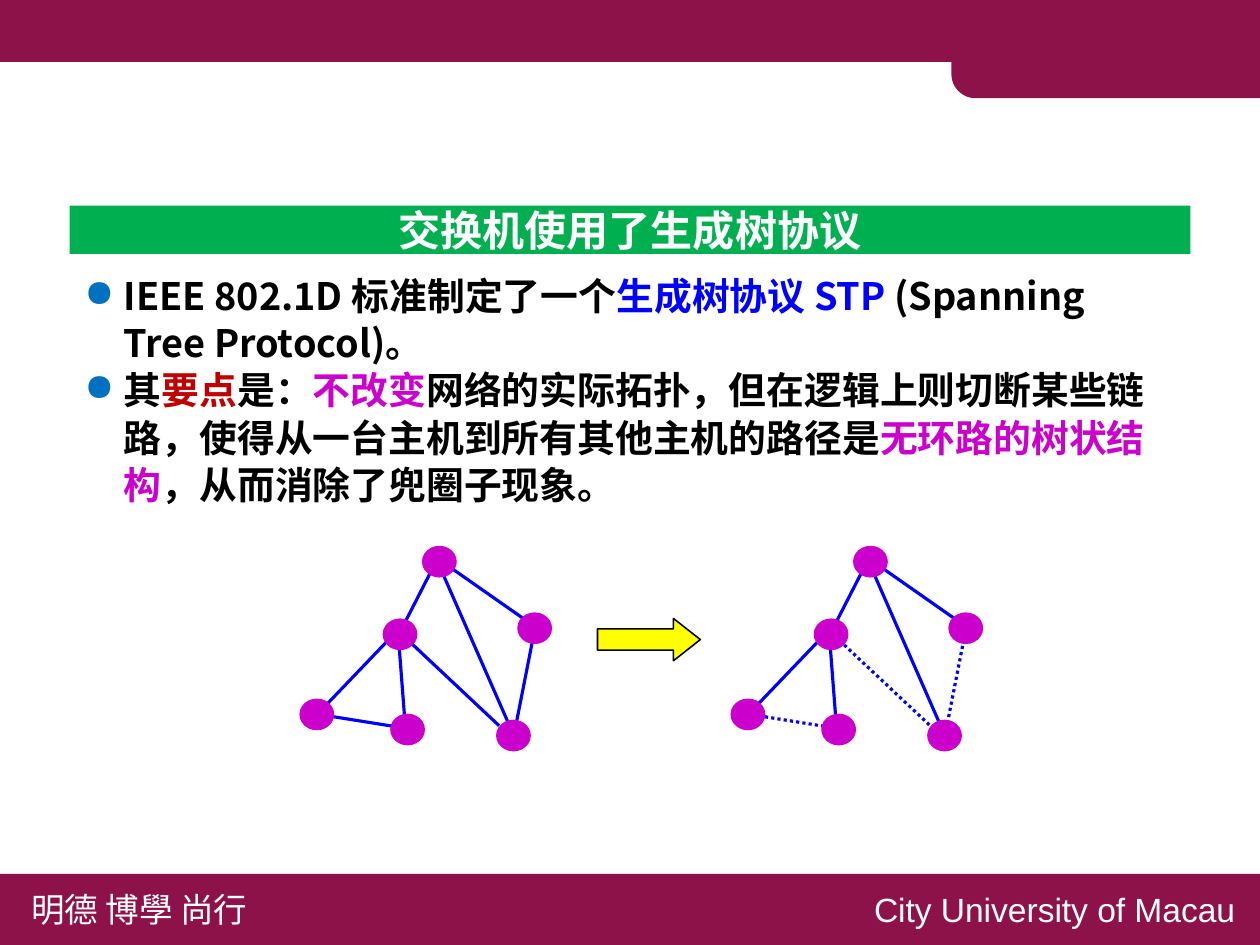
import math

import pptx
import pptx.util
import pptx.dml.color
import pptx.enum.dml
import pptx.enum.shapes
import pptx.enum.text
import pptx.oxml.ns
from lxml import etree

Inches = pptx.util.Inches
Pt = pptx.util.Pt
qn = pptx.oxml.ns.qn
SHAPE = pptx.enum.shapes.MSO_SHAPE

COLORS = {
    "maroon": "8D124A", "white": "FFFFFF", "black": "000000", "green": "00B050",
    "blue": "0000FF", "red": "C00000", "magenta": "CC00CC", "yellow": "FFFF00",
    "bullet": "0070C0",
}
CJK = "Noto Sans CJK SC"

POINTS = [
    [("IEEE 802.1D 标准制定了一个", "black"), ("生成树协议 STP ", "blue"),
     ("(Spanning Tree Protocol)。", "black")],
    [("其", "black"), ("要点", "red"), ("是：", "black"), ("不改变", "magenta"),
     ("网络的实际拓扑，但在逻辑上则切断某些链路，使得从一台主机到所有其他主机的路径是", "black"),
     ("无环路的树状结构", "magenta"), ("，从而消除了兜圈子现象。", "black")],
]

SWITCH_SIZE = (0.23, 0.21)
SWITCHES = [(0.81, 0), (1.44, 0.44), (1.3, 1.15), (0, 1.01), (0.6, 1.11), (0.55, 0.48)]
TREE_LINKS = [
    (0.9, 0.11, 0.66, 0.58), (0.95, 0.11, 1.55, 0.53), (0.95, 0.19, 1.38, 1.17),
    (0.16, 1.07, 0.6, 0.61), (0.7, 1.2, 0.65, 0.55),
]
LOOP_LINKS = [
    (0.66, 0.57, 1.32, 1.19), (1.55, 0.58, 1.42, 1.24), (0.66, 1.2, 0.16, 1.12),
]


def rgb(name):
    """Return the named colour."""
    return pptx.dml.color.RGBColor.from_string(COLORS[name])


def paint(shape, color):
    """Give a shape a plain fill with no outline or shadow."""
    shape.shadow.inherit = False
    shape.fill.solid()
    shape.fill.fore_color.rgb = rgb(color)
    shape.line.fill.background()


def add_solid(shapes, kind, box, color):
    """Add a plain filled preset shape."""
    shape = shapes.add_shape(kind, *map(Inches, box))
    paint(shape, color)
    return shape


def add_run(paragraph, text, size, color, font=CJK, bold=False):
    """Add one formatted run."""
    run = paragraph.add_run()
    run.text = text
    run.font.size = Pt(size)
    run.font.bold = bold
    run.font.name = font
    run.font.color.rgb = rgb(color)
    etree.SubElement(run.font._element, qn("a:ea")).set("typeface", font)


def add_header(shapes, width):
    """Draw the top bar and its tab with a rounded lower corner."""
    add_solid(shapes, SHAPE.RECTANGLE, (0, 0, width, 0.41), "maroon")
    left, bottom, radius = 6.29, 0.65, 0.16
    corner = []
    for step in range(13):
        angle = math.pi / 2 * step / 12
        corner.append((left + radius * (1 - math.sin(angle)),
                       bottom - radius * (1 - math.cos(angle))))
    outline = [(width, 0.02), (width, bottom)] + corner + [(left, 0.02)]
    builder = shapes.build_freeform(Inches(left), Inches(0.02), scale=1.0)
    builder.add_line_segments([(Inches(x), Inches(y)) for x, y in outline], close=True)
    paint(builder.convert_to_shape(), "maroon")


def add_footer(shapes, box):
    """Draw the bottom bar with the motto and the university name."""
    left, top, width, height = box
    add_solid(shapes, SHAPE.RECTANGLE, box, "maroon")
    labels = [(0.11, 1.68, "明德 博學 尚行", CJK),
              (5.68, 2.62, "City University of Macau", "Arial")]
    for offset, label_width, text, font in labels:
        label = shapes.add_textbox(Inches(left + offset), Inches(top + 0.05),
                                   Inches(label_width), Inches(0.37))
        label.text_frame.word_wrap = False
        add_run(label.text_frame.paragraphs[0], text, 16, "white", font)


def place_title(title, box):
    """Turn the title placeholder into the green rounded banner."""
    title.left, title.top, title.width, title.height = map(Inches, box)
    geometry = etree.SubElement(title._element.spPr, qn("a:prstGeom"), prst="roundRect")
    guides = etree.SubElement(geometry, qn("a:avLst"))
    etree.SubElement(guides, qn("a:gd"), name="adj", fmla="val 16700")
    title.fill.solid()
    title.fill.fore_color.rgb = rgb("green")
    frame = title.text_frame
    frame.auto_size = pptx.enum.text.MSO_AUTO_SIZE.NONE
    frame.word_wrap = False
    frame.margin_top = frame.margin_bottom = 0
    frame.vertical_anchor = pptx.enum.text.MSO_ANCHOR.MIDDLE
    heading = frame.paragraphs[0]
    heading.alignment = pptx.enum.text.PP_ALIGN.CENTER
    add_run(heading, "交换机使用了生成树协议", 20, "white", bold=True)


def add_points(shapes, box):
    """Write the bulleted explanation."""
    frame = shapes.add_textbox(*map(Inches, box)).text_frame
    frame.word_wrap = True
    for index, runs in enumerate(POINTS):
        point = frame.add_paragraph() if index else frame.paragraphs[0]
        point.line_spacing = Pt(22.5)
        properties = point._p.get_or_add_pPr()
        properties.set("marL", str(Inches(0.26)))
        properties.set("indent", str(-Inches(0.26)))
        bullet_color = etree.SubElement(properties, qn("a:buClr"))
        etree.SubElement(bullet_color, qn("a:srgbClr"), val=COLORS["bullet"])
        etree.SubElement(properties, qn("a:buChar"), char="●")
        for text, color in runs:
            add_run(point, text, 18, color, bold=True)


def add_network(shapes, left, top, loops_cut):
    """Draw the switches and links, dotting the loop links if they are cut."""
    network = shapes.add_group_shape().shapes
    links = [(link, False) for link in TREE_LINKS]
    links += [(link, loops_cut) for link in LOOP_LINKS]
    for (x1, y1, x2, y2), dotted in links:
        cable = network.add_connector(
            pptx.enum.shapes.MSO_CONNECTOR.STRAIGHT, Inches(left + x1),
            Inches(top + y1), Inches(left + x2), Inches(top + y2))
        cable.line.color.rgb = rgb("blue")
        cable.line.width = Pt(1.5)
        if dotted:
            cable.line.dash_style = pptx.enum.dml.MSO_LINE.ROUND_DOT
        etree.SubElement(cable._element.spPr, qn("a:effectLst"))
    for x, y in SWITCHES:
        add_solid(network, SHAPE.OVAL, (left + x, top + y, *SWITCH_SIZE), "magenta")


def add_topologies(shapes, left, top):
    """Place the looped network, the arrow and the resulting tree."""
    add_network(shapes, left, top, False)
    arrow = add_solid(shapes, SHAPE.RIGHT_ARROW,
                      (left + 1.97, top + 0.48, 0.68, 0.28), "yellow")
    arrow.adjustments[1] = 0.635
    arrow.line.color.rgb = rgb("black")
    arrow.line.width = Pt(0.75)
    add_network(shapes, left + 2.85, top, True)


def main():
    """Build and save the slide."""
    deck = pptx.Presentation()
    width, height = 8.33, 6.25
    deck.slide_width, deck.slide_height = Inches(width), Inches(height)
    slide = deck.slides.add_slide(deck.slide_layouts[5])
    add_header(slide.shapes, width)
    add_footer(slide.shapes, (0, 5.78, width, height - 5.78))
    place_title(slide.shapes.title, (0.46, 1.36, 7.41, 0.32))
    add_points(slide.shapes, (0.46, 1.74, 7.38, 1.69))
    add_topologies(slide.shapes, 1.98, 3.61)
    deck.save("out.pptx")


if __name__ == "__main__":
    main()
